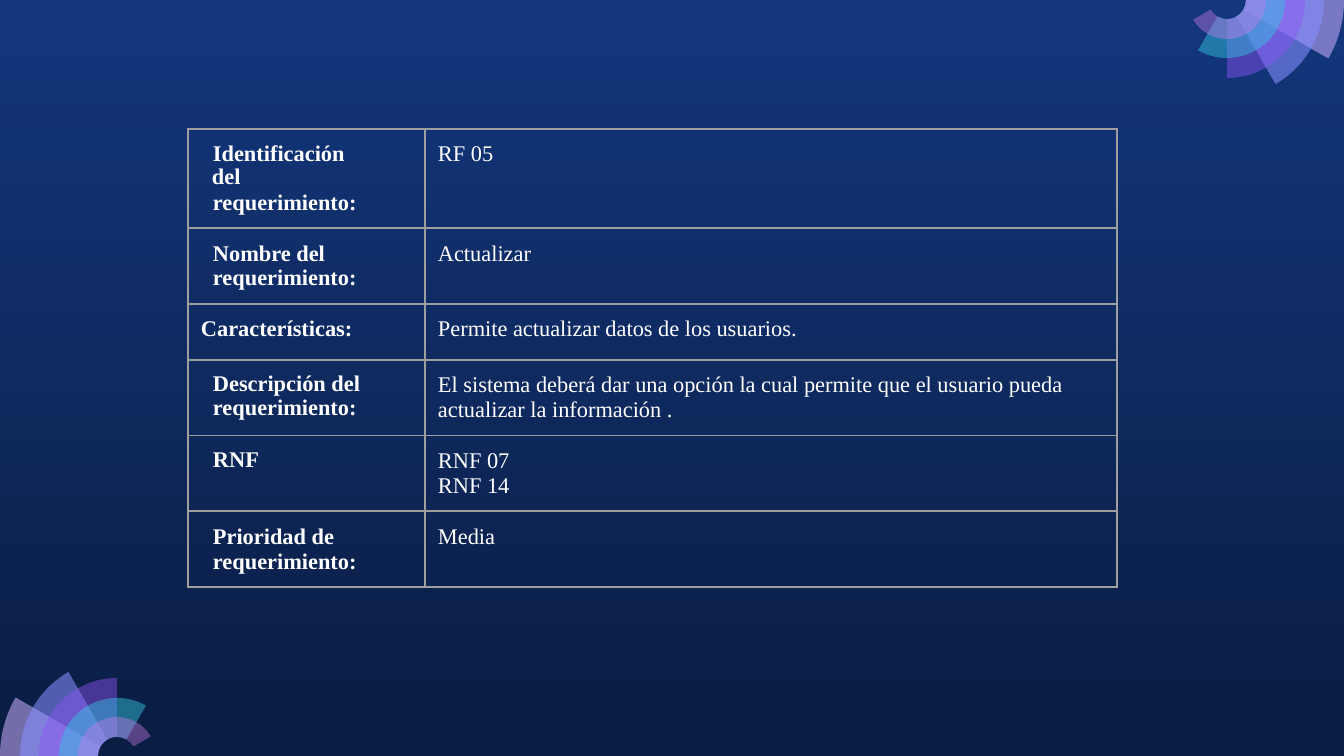
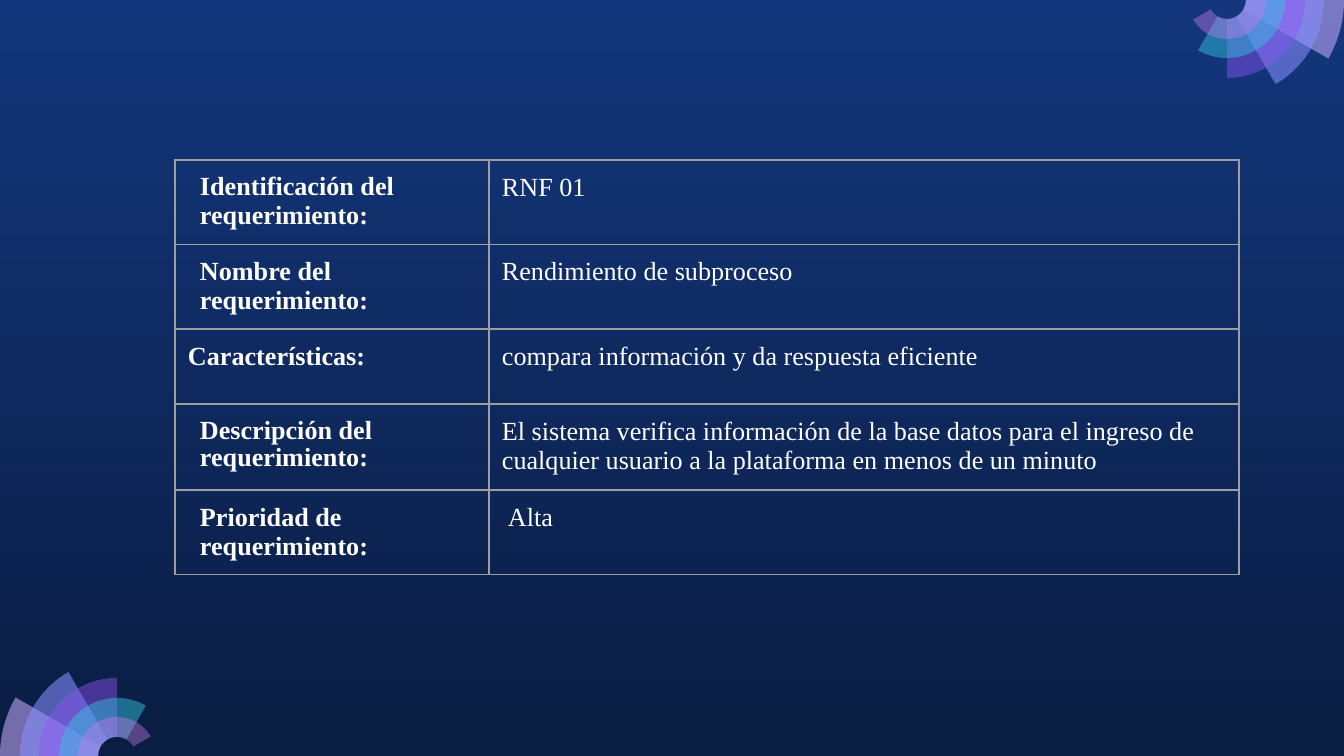
from dataclasses import dataclass
from math import cos, radians, sin, tan

from lxml.etree import SubElement
from pptx import Presentation
from pptx.dml.color import RGBColor
from pptx.oxml.ns import qn
from pptx.util import Emu, Pt

WIDTH, HEIGHT = 1344, 756
SCALE = 9144000 / WIDTH
FONT = "Times New Roman"
COLORS = {
    "sky": "13367C",
    "night": "0A1D42",
    "text": "FFFFFF",
    "border": "9E9E9E",
    "lilac": "C8ACFD",
    "periwinkle": "878FFF",
    "violet": "9154F8",
    "cyan": "35C2DF",
    "orchid": "CA7BEB",
}
CELL_INSET = 13
THIN, THICK = 0.75, 1
HUB_RADIUS = 19
WHEEL_CENTER = (117, HEIGHT)
# Border tag -> row and column step to the neighbouring cell
SIDES = {"a:lnL": (0, -1), "a:lnR": (0, 1), "a:lnT": (-1, 0), "a:lnB": (1, 0)}


@dataclass(frozen=True)
class Ring:
    color: str
    opacity: int
    radius: int
    sweep: int


@dataclass(frozen=True)
class Line:
    text: str
    left: int = 0
    first: int = 0
    right: int = 0
    spacing: float | None = None
    before: float = 0


@dataclass(frozen=True)
class Row:
    height: int
    label: tuple[Line, ...]
    value: tuple[Line, ...]
    thick: bool = False


@dataclass(frozen=True)
class Requirement:
    left: int
    top: int
    columns: tuple[int, int]
    size: int
    bottom_inset: int
    rows: tuple[Row, ...]
    thick_labels: bool = False


RINGS = (
    Ring("lilac", 56, 117, 30),
    Ring("periwinkle", 57, 97, 60),
    Ring("violet", 45, 78, 90),
    Ring("cyan", 48, 58, 120),
    Ring("orchid", 41, 39, 150),
)

IDENTIFICATION = (
    Line("Identificación del", left=11, first=1, right=54, spacing=0.96),
    Line("requerimiento:", left=12, before=0.3),
)
NAME = (Line("Nombre del", left=12), Line("requerimiento:", left=12))
FEATURES = (Line("Características:"),)
DESCRIPTION = (Line("Descripción del requerimiento:", left=12, spacing=0.96),)
RELATED = (Line("RNF", left=12, spacing=0.96),)
PRIORITY = (Line("Prioridad de", left=12), Line("requerimiento:", left=12))

REQUIREMENTS = (
    Requirement(188, 129, (237, 692), 12, 13, (
        Row(86, IDENTIFICATION, (Line("RF 05"),), thick=True),
        Row(73, NAME, (Line("Actualizar"),), thick=True),
        Row(56, FEATURES, (Line("Permite actualizar datos de los usuarios."),), thick=True),
        Row(56, DESCRIPTION, (Line(
            "El sistema deberá dar una opción la cual permite que el usuario "
            "pueda actualizar la información ."),), thick=True),
        Row(56, RELATED, (Line("RNF 07"), Line("RNF 14")), thick=True),
        Row(56, PRIORITY, (Line("Media"),), thick=True),
    ), thick_labels=True),
    Requirement(175, 160, (314, 750), 14, 14, (
        Row(69, IDENTIFICATION, (Line("RNF 01"),)),
        Row(71, NAME, (Line("Rendimiento de subproceso"),)),
        Row(75, FEATURES, (Line("compara información y da respuesta eficiente"),), thick=True),
        Row(86, DESCRIPTION, (Line(
            "El sistema verifica información de la base datos para el ingreso de "
            "cualquier usuario a la plataforma en menos de un minuto"),), thick=True),
        Row(56, PRIORITY, (Line("Alta", left=6),)),
    )),
)


def px(length: float) -> Emu:
    return Emu(round(length * SCALE))


def rgb(name: str) -> RGBColor:
    return RGBColor.from_string(COLORS[name])


def paint_background(layout) -> None:
    fill = layout.background.fill
    fill.gradient()
    fill.gradient_angle = 270
    for stop, name in zip(fill.gradient_stops, ("sky", "night")):
        stop.color.rgb = rgb(name)


def wheel_point(radius: float, angle: float, along: float = 0) -> tuple[Emu, Emu]:
    """Point at a clockwise angle from the left, shifted along the tangent."""
    turn = radians(180 + angle)
    return (px(WHEEL_CENTER[0] + radius * cos(turn) - along * sin(turn)),
            px(WHEEL_CENTER[1] + radius * sin(turn) + along * cos(turn)))


def bend_segment(shape, segment, radius: int, start: int, end: int) -> None:
    """Turn a straight path segment into a circular arc."""
    pull = radius * 4 / 3 * tan(radians(end - start) / 4)
    segment.clear()
    segment.tag = qn("a:cubicBezTo")
    for x, y in (wheel_point(radius, start, pull), wheel_point(radius, end, -pull),
                 wheel_point(radius, end)):
        SubElement(segment, qn("a:pt"), x=str(x - shape.left), y=str(y - shape.top))


def add_ring(page, ring: Ring):
    angles = [0, 90, ring.sweep] if ring.sweep > 90 else [0, ring.sweep]
    corners = [(ring.radius, angle) for angle in angles]
    corners += [(HUB_RADIUS, angle) for angle in reversed(angles)]
    points = [wheel_point(*corner) for corner in corners]
    builder = page.shapes.build_freeform(*points[0], scale=1.0)
    builder.add_line_segments(points[1:], close=True)
    shape = builder.convert_to_shape()
    segments = list(shape.element.iter(qn("a:lnTo")))
    for segment, (radius, start), (next_radius, end) in zip(segments, corners, corners[1:]):
        if radius == next_radius:
            bend_segment(shape, segment, radius, start, end)
    shape.shadow.inherit = False
    shape.line.fill.background()
    shape.fill.solid()
    shape.fill.fore_color.rgb = rgb(ring.color)
    color = shape.element.find(".//" + qn("a:srgbClr"))
    SubElement(color, qn("a:alpha"), val=str(ring.opacity * 1000))
    return shape


def add_wheels(page, layout) -> None:
    """Draw both corner wheels and hand them over to the shared layout."""
    for opposite in (False, True):
        for ring in RINGS:
            shape = add_ring(page, ring)
            if opposite:
                shape.rotation = 180
                shape.left = px(WIDTH) - shape.left - shape.width
                shape.top = px(HEIGHT) - shape.top - shape.height
            layout.shapes.element.append(shape.element)


def write_lines(cell, lines: tuple[Line, ...], size: int, bold: bool) -> None:
    frame = cell.text_frame
    for index, line in enumerate(lines):
        para = frame.add_paragraph() if index else frame.paragraphs[0]
        if line.spacing:
            para.line_spacing = line.spacing
        if line.before:
            para.space_before = Pt(line.before)
        properties = para._p.get_or_add_pPr()
        properties.set("marL", str(px(line.left)))
        properties.set("marR", str(px(line.right)))
        properties.set("indent", str(px(line.first)))
        span = para.add_run()
        span.text = line.text
        span.font.name = FONT
        span.font.size = Pt(size)
        span.font.bold = bold
        span.font.color.rgb = rgb("text")


def add_border(cell, tag: str, points: float) -> None:
    properties = cell._tc.get_or_add_tcPr()
    border = SubElement(properties, qn(tag), w=str(Pt(points)))
    fill = SubElement(border, qn("a:solidFill"))
    SubElement(fill, qn("a:srgbClr"), val=COLORS["border"])


def add_requirement(page, requirement: Requirement) -> None:
    rows = requirement.rows
    table = page.shapes.add_table(
        len(rows), 2, px(requirement.left), px(requirement.top),
        px(sum(requirement.columns)), px(sum(row.height for row in rows))).table
    table.first_row = table.horz_banding = False
    for column, width in zip(table.columns, requirement.columns):
        column.width = px(width)
    thick_cells = {(r, c) for r, row in enumerate(rows) for c in range(2)
                   if row.thick and (c == 1 or requirement.thick_labels)}
    for r, row in enumerate(rows):
        table.rows[r].height = px(row.height)
        for c, lines in enumerate((row.label, row.value)):
            cell = table.cell(r, c)
            cell.margin_left = cell.margin_right = cell.margin_top = px(CELL_INSET)
            cell.margin_bottom = px(requirement.bottom_inset)
            for tag, (down, across) in SIDES.items():
                touching = {(r, c), (r + down, c + across)}
                add_border(cell, tag, THICK if touching & thick_cells else THIN)
            cell.fill.background()
            write_lines(cell, lines, requirement.size, bold=c == 0)


def main() -> None:
    deck = Presentation()
    deck.slide_width, deck.slide_height = px(WIDTH), px(HEIGHT)
    layout = deck.slide_layouts[6]
    for placeholder in list(layout.placeholders):
        layout.shapes.element.remove(placeholder.element)
    paint_background(layout)
    pages = [deck.slides.add_slide(layout) for _ in REQUIREMENTS]
    add_wheels(pages[0], layout)
    for page, requirement in zip(pages, REQUIREMENTS):
        add_requirement(page, requirement)
    deck.save("out.pptx")


if __name__ == "__main__":
    main()
